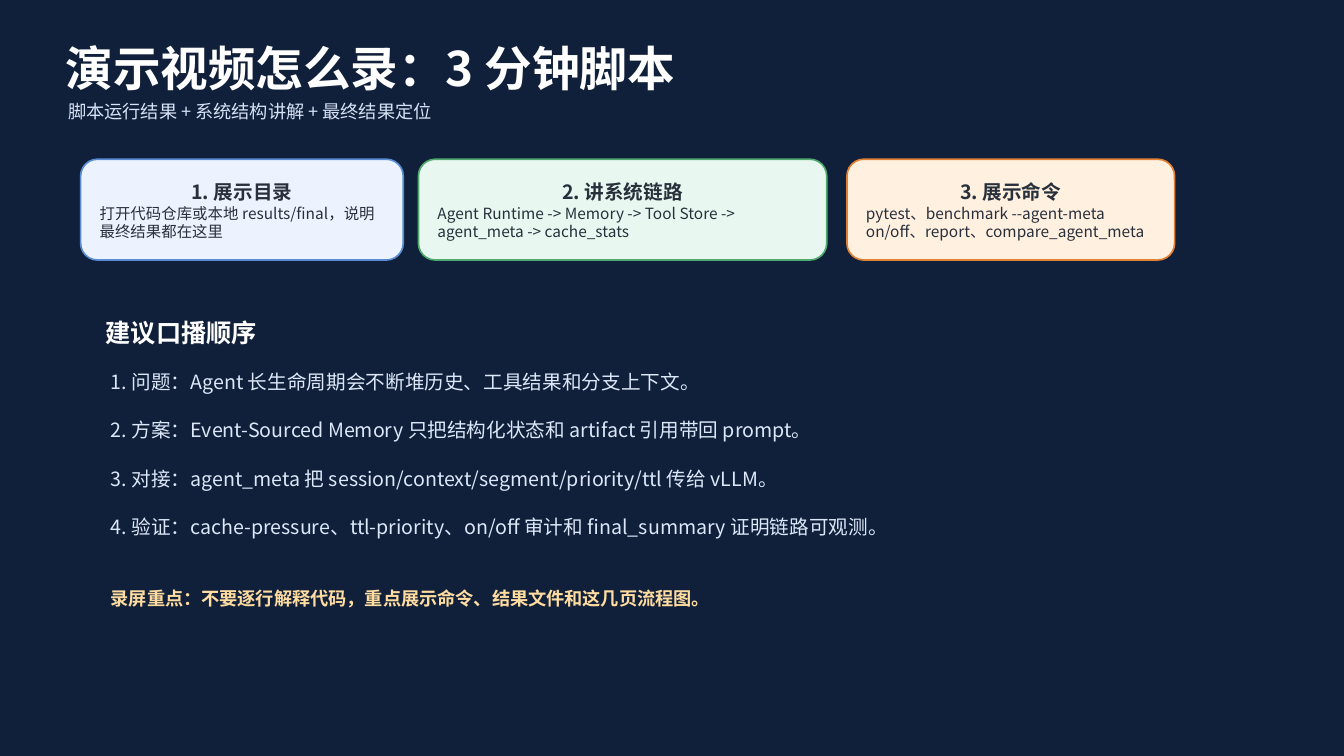
"""Build the slide that outlines a three-minute demo video script."""
from dataclasses import dataclass

from lxml import etree
from pptx import Presentation
from pptx import util as u
from pptx.dml.color import RGBColor
from pptx.enum import shapes, text
from pptx.oxml import ns


@dataclass(frozen=True)
class Theme:
    font: str = "Noto Sans CJK SC"
    background: str = "11203A"
    white: str = "FFFFFF"
    subtitle: str = "D6E2F5"
    body: str = "DCE8F8"
    accent: str = "FFDCA0"
    card_text: str = "28303C"
    title_size: float = 34
    section_size: float = 18
    body_size: float = 14
    note_size: float = 13
    detail_size: float = 11
    border: float = 1.2


@dataclass(frozen=True)
class Label:
    words: str
    left: float
    top: float
    width: float
    height: float
    size: float
    color: str
    bold: bool = False


@dataclass(frozen=True)
class Card:
    heading: str
    detail: str
    left: float
    width: float
    fill: str
    line: str


THEME = Theme()
CARD_TOP, CARD_HEIGHT = 1.58, 1
STEP_TOP, STEP_PITCH = 3.62, 0.48

TITLE = Label("演示视频怎么录：3 分钟脚本", 0.55, 0.34, 12.2, 0.58,
              THEME.title_size, THEME.white, True)
CARDS = [
    Card("1. 展示目录", "打开代码仓库或本地 results/final，说明最终结果都在这里",
         0.8, 3.2, "ECF3FF", "5A8CD2"),
    Card("2. 讲系统链路", "Agent Runtime -> Memory -> Tool Store -> agent_meta -> cache_stats",
         4.15, 4.05, "E8F8F0", "50AA6E"),
    Card("3. 展示命令", "pytest、benchmark --agent-meta on/off、report、compare_agent_meta",
         8.4, 3.25, "FFF0E0", "E28034"),
]
STEPS = [
    "1. 问题：Agent 长生命周期会不断堆历史、工具结果和分支上下文。",
    "2. 方案：Event-Sourced Memory 只把结构化状态和 artifact 引用带回 prompt。",
    "3. 对接：agent_meta 把 session/context/segment/priority/ttl 传给 vLLM。",
    "4. 验证：cache-pressure、ttl-priority、on/off 审计和 final_summary 证明链路可观测。",
]
LABELS = [
    Label("脚本运行结果 + 系统结构讲解 + 最终结果定位", 0.58, 0.95, 11.7, 0.35,
          THEME.note_size, THEME.subtitle),
    Label("建议口播顺序", 0.95, 3.1, 2.5, 0.35, THEME.section_size, THEME.white, True),
    *(Label(step, 1, STEP_TOP + index * STEP_PITCH, 10.9, 0.32, THEME.body_size, THEME.body)
      for index, step in enumerate(STEPS)),
    Label("录屏重点：不要逐行解释代码，重点展示命令、结果文件和这几页流程图。",
          1, 5.78, 10.8, 0.35, THEME.note_size, THEME.accent, True),
]


def add_span(para, words: str, size: float, color: str, bold: bool) -> None:
    span = para.add_run()
    span.text = words
    span.font.name = THEME.font
    span.font.size = u.Pt(size)
    span.font.bold = bold
    span.font.color.rgb = RGBColor.from_string(color)
    east_asian = etree.SubElement(span.font._element, ns.qn("a:ea"))
    east_asian.set("typeface", THEME.font)


def fill_label(box, label: Label) -> None:
    box.left, box.top = u.Inches(label.left), u.Inches(label.top)
    box.width, box.height = u.Inches(label.width), u.Inches(label.height)
    frame = box.text_frame
    frame.word_wrap = True
    frame.auto_size = text.MSO_AUTO_SIZE.SHAPE_TO_FIT_TEXT
    frame.vertical_anchor = text.MSO_ANCHOR.TOP
    para = frame.paragraphs[0]
    para.alignment = text.PP_ALIGN.LEFT
    add_span(para, label.words, label.size, label.color, label.bold)


def add_card(page, card: Card) -> None:
    box = page.shapes.add_shape(
        shapes.MSO_SHAPE.ROUNDED_RECTANGLE, u.Inches(card.left), u.Inches(CARD_TOP),
        u.Inches(card.width), u.Inches(CARD_HEIGHT))
    box.shadow.inherit = False
    box.fill.solid()
    box.fill.fore_color.rgb = RGBColor.from_string(card.fill)
    box.line.color.rgb = RGBColor.from_string(card.line)
    box.line.width = u.Pt(THEME.border)
    frame = box.text_frame
    frame.word_wrap = True
    frame.vertical_anchor = text.MSO_ANCHOR.MIDDLE
    frame.margin_left = frame.margin_right = u.Inches(0.14)
    frame.margin_top, frame.margin_bottom = u.Inches(0.08), u.Inches(0.06)
    heading, detail = frame.paragraphs[0], frame.add_paragraph()
    heading.alignment = text.PP_ALIGN.CENTER
    detail.alignment = text.PP_ALIGN.LEFT
    add_span(heading, card.heading, THEME.body_size, THEME.card_text, True)
    add_span(detail, card.detail, THEME.detail_size, THEME.card_text, False)


def main() -> None:
    deck = Presentation()
    deck.slide_width, deck.slide_height = u.Inches(13.33), u.Inches(7.5)
    page = deck.slides.add_slide(deck.slide_layouts.get_by_name("Title Only"))
    page.background.fill.solid()
    page.background.fill.fore_color.rgb = RGBColor.from_string(THEME.background)
    fill_label(page.shapes.title, TITLE)
    for card in CARDS:
        add_card(page, card)
    for label in LABELS:
        fill_label(page.shapes.add_textbox(0, 0, 0, 0), label)
    deck.save("out.pptx")


if __name__ == "__main__":
    main()
